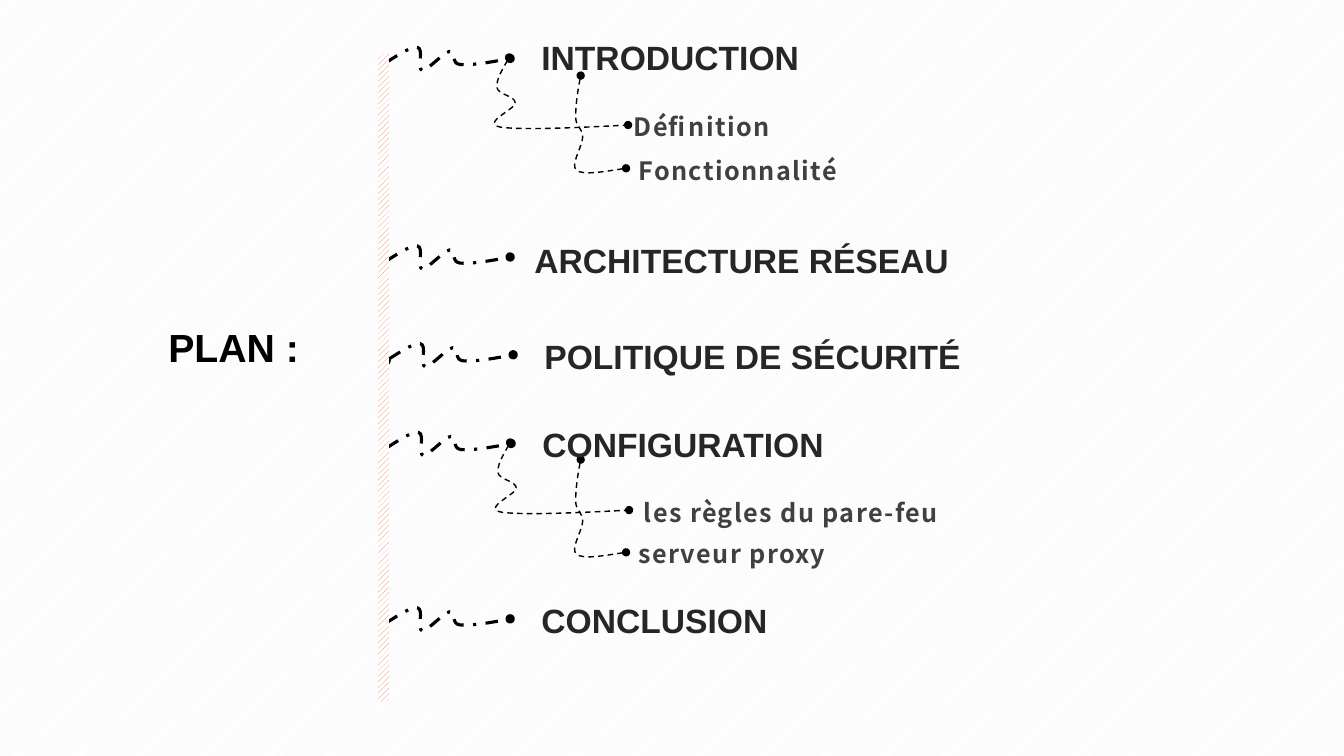
"""Build the plan slide: five topics hung on a vertical bar, with sub-items."""
import pptx
import pptx.util
import pptx.dml.color
import pptx.enum.dml
import pptx.enum.shapes
import pptx.enum.text
import pptx.oxml
import pptx.oxml.ns
from pptx.util import Inches

COLORS = {"black": "000000", "topic": "262626", "detail": "404040",
          "coral": "FC6E5B", "stripe": "F2F2F2", "white": "FFFFFF"}
DASH = pptx.enum.dml.MSO_LINE
PATTERN = pptx.enum.dml.MSO_PATTERN
ALIGN = pptx.enum.text.PP_ALIGN

WAVE = [(0, 0), (0.14, -0.09), (0.28, -0.18), (0.34, -0.17),
        (0.41, -0.16), (0.33, 0.05), (0.39, 0.06),
        (0.44, 0.06), (0.6, -0.12), (0.66, -0.13),
        (0.73, -0.14), (0.67, -0.01), (0.76, 0),
        (0.86, 0.01), (1.06, -0.02), (1.26, -0.06)]
UPPER_HOOK = [(0, 0), (-0.06, 0.11), (-0.13, 0.22), (-0.12, 0.3),
              (-0.11, 0.37), (0.06, 0.38), (0.06, 0.45),
              (0.07, 0.51), (-0.28, 0.65), (-0.09, 0.69),
              (0.1, 0.72), (0.64, 0.7), (1.18, 0.67)]
LOWER_HOOK = [(0, 0), (-0.03, 0.15), (-0.05, 0.3), (-0.05, 0.41),
              (-0.05, 0.51), (0.02, 0.52), (0.02, 0.61),
              (0.02, 0.7), (-0.11, 0.89), (-0.04, 0.94),
              (0.03, 0.99), (0.24, 0.95), (0.45, 0.92)]

prs = pptx.Presentation()
prs.slide_width = Inches(13.33)
prs.slide_height = Inches(7.5)
slide = prs.slides.add_slide(prs.slide_layouts[5])


def write(text, left, top, width, height, box=None, size=24, font="Arial",
          color="topic", align=ALIGN.JUSTIFY, margin=(0, 0), spacing=1.0,
          tracking=0, wrap=True):
    """Place one formatted line of text, in a given box or a new one."""
    place = [Inches(length) for length in (left, top, width, height)]
    box = box or slide.shapes.add_textbox(*place)
    box.left, box.top, box.width, box.height = place
    frame = box.text_frame
    frame.text = text
    frame.word_wrap = wrap
    frame.auto_size = pptx.enum.text.MSO_AUTO_SIZE.SHAPE_TO_FIT_TEXT
    frame.vertical_anchor = pptx.enum.text.MSO_ANCHOR.TOP
    frame.margin_left = frame.margin_right = Inches(margin[0])
    frame.margin_top = frame.margin_bottom = Inches(margin[1])
    line = frame.paragraphs[0]
    line.alignment = align
    line.line_spacing = spacing
    run = line.runs[0]
    run.font.size = pptx.util.Pt(size)
    run.font.name = font
    run.font.bold = True
    run.font.color.rgb = pptx.dml.color.RGBColor.from_string(COLORS[color])
    properties = run._r.get_or_add_rPr()
    properties.set("spc", str(tracking * 100))
    east_asian = pptx.oxml.parse_xml(
        f'<a:ea {pptx.oxml.ns.nsdecls("a")} typeface="{font}"/>')
    properties.find(pptx.oxml.ns.qn("a:latin")).addnext(east_asian)


def draw_curve(points, left, top, weight, dash):
    """Draw a dotted-end Bezier curve from its start and control points."""
    spots = [(Inches(left + x), Inches(top + y)) for x, y in points]
    builder = slide.shapes.build_freeform(*spots[0])
    builder.add_line_segments(spots[3::3], close=False)
    curve = builder.convert_to_shape()
    curve.shadow.inherit = False
    curve.fill.background()
    curve.line.color.rgb = pptx.dml.color.RGBColor.from_string(COLORS["black"])
    curve.line.width = pptx.util.Pt(weight)
    curve.line.dash_style = dash
    segments = list(curve._element.iter(pptx.oxml.ns.qn("a:lnTo")))
    for index, segment in enumerate(segments):
        controls = "".join(
            f'<a:pt x="{x - curve.left}" y="{y - curve.top}"/>'
            for x, y in spots[3 * index + 1:3 * index + 4])
        bezier = pptx.oxml.parse_xml(
            f'<a:cubicBezTo {pptx.oxml.ns.nsdecls("a")}>{controls}</a:cubicBezTo>')
        segment.getparent().replace(segment, bezier)
    outline = curve.line._get_or_add_ln()
    for end in ("headEnd", "tailEnd"):
        outline.append(pptx.oxml.parse_xml(
            f'<a:{end} {pptx.oxml.ns.nsdecls("a")} type="oval"/>'))


backdrop = slide.background.fill
backdrop.patterned()
backdrop.pattern = PATTERN.DARK_UPWARD_DIAGONAL
backdrop.fore_color.rgb = pptx.dml.color.RGBColor.from_string(COLORS["stripe"])
backdrop.back_color.rgb = pptx.dml.color.RGBColor.from_string(COLORS["white"])

write("PLAN :", 1.57, 3.16, 1.51, 0.57, box=slide.shapes.title, size=28,
      color="black", align=ALIGN.LEFT, margin=(0.1, 0.05), wrap=False)

topics = [("INTRODUCTION", 5.37, 0.37, 2.77, 3.8, 0.64),
          ("ARCHITECTURE RÉSEAU", 5.3, 2.38, 4.51, 3.8, 2.61),
          ("POLITIQUE DE SÉCURITÉ", 5.4, 3.33, 4.41, 3.83, 3.58),
          ("CONFIGURATION", 5.38, 4.21, 2.96, 3.81, 4.46),
          ("CONCLUSION", 5.37, 5.95, 2.38, 3.8, 6.2)]
details = [("Définition", 5.87, 0.91, 2.18, UPPER_HOOK, 5.05, 0.57),
           ("Fonctionnalité", 6.23, 1.34, 2.18, LOWER_HOOK, 5.76, 0.75),
           ("les règles du pare-feu", 5.88, 4.73, 3.93, UPPER_HOOK, 5.06, 4.39),
           ("serveur proxy", 6.17, 5.14, 2.18, LOWER_HOOK, 5.76, 4.56)]

for label, left, top, width, hook, hook_left, hook_top in details:
    draw_curve(hook, hook_left, hook_top, 1, DASH.DASH)
    write(label, left, top, width, 0.5, size=18, font="Noto Sans CJK SC",
          color="detail", align=ALIGN.CENTER, margin=(0.1, 0.05), spacing=1.5,
          tracking=1)

for label, left, top, width, wave_left, wave_top in topics:
    draw_curve(WAVE, wave_left, wave_top, 2.25, DASH.DASH_DOT)
    write(label, left, top, width, 0.4)

trunk = slide.shapes.add_shape(
    pptx.enum.shapes.MSO_SHAPE.ROUNDED_RECTANGLE,
    Inches(3.75), Inches(0.53), Inches(0.11), Inches(6.43))
trunk.adjustments[0] = 0.08
trunk.shadow.inherit = False
trunk.line.fill.background()
trunk.fill.patterned()
trunk.fill.pattern = PATTERN.WIDE_UPWARD_DIAGONAL
trunk.fill.fore_color.rgb = pptx.dml.color.RGBColor.from_string(COLORS["coral"])
trunk.fill.back_color.rgb = pptx.dml.color.RGBColor.from_string(COLORS["white"])

prs.save("out.pptx")
